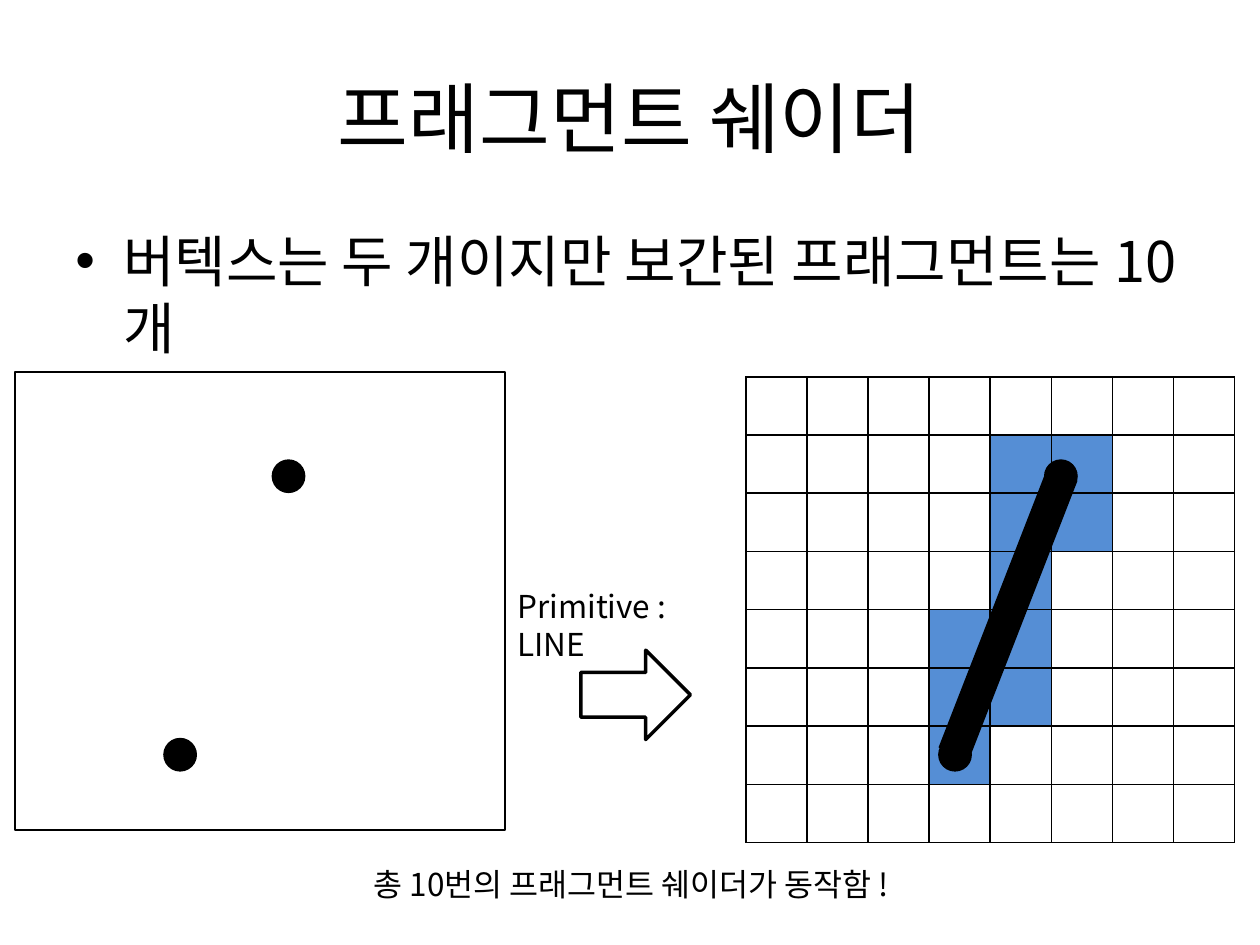
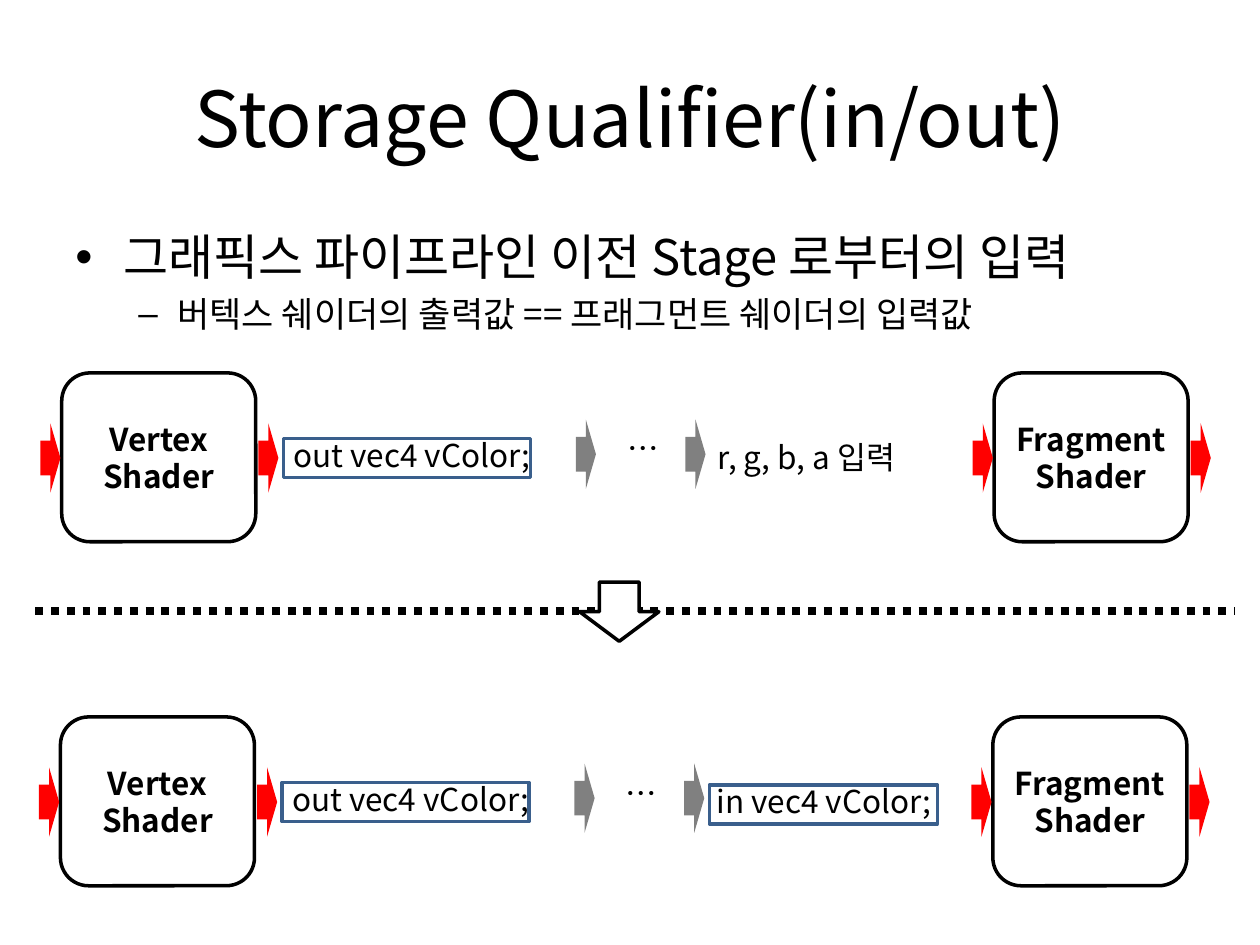
"""Builds two slides on fragment shaders and storage qualifiers."""
from lxml import etree
from pptx import Presentation
from pptx.dml.color import RGBColor
from pptx.enum.dml import MSO_LINE
from pptx.enum.shapes import MSO_CONNECTOR, MSO_SHAPE
from pptx.enum.text import MSO_ANCHOR, MSO_AUTO_SIZE, PP_ALIGN
from pptx.oxml.ns import qn
from pptx.util import Inches, Pt

BLACK = RGBColor(0x00, 0x00, 0x00)
WHITE = RGBColor(0xFF, 0xFF, 0xFF)
RED = RGBColor(0xFF, 0x00, 0x00)
GRAY = RGBColor(0x80, 0x80, 0x80)
NAVY = RGBColor(0x3A, 0x5F, 0x8C)
BLUE = RGBColor(0x55, 0x8E, 0xD5)
FONT = "Noto Sans CJK KR"

RECT, ROUND_RECT = MSO_SHAPE.RECTANGLE, MSO_SHAPE.ROUNDED_RECTANGLE
OVAL = MSO_SHAPE.OVAL
RIGHT, DOWN = MSO_SHAPE.RIGHT_ARROW, MSO_SHAPE.DOWN_ARROW
CENTER, MIDDLE = PP_ALIGN.CENTER, MSO_ANCHOR.MIDDLE
GROW = MSO_AUTO_SIZE.SHAPE_TO_FIT_TEXT
STRAIGHT, DOTS = MSO_CONNECTOR.STRAIGHT, MSO_LINE.ROUND_DOT

GRID = 8
FRAGMENTS = {1: (4, 5), 2: (4, 5), 3: (4,), 4: (3, 4), 5: (3, 4), 6: (3,)}
BULLETS = {0: ("•", 0.38, 0.38), 1: ("–", 0.81, 0.31)}


def add_run(p, text, size, bold=False):
    """Add a black run in the deck font."""
    r = p.add_run()
    r.text = text
    r.font.size, r.font.bold, r.font.name = Pt(size), bold, FONT
    r.font.color.rgb = BLACK
    etree.SubElement(r._r.get_or_add_rPr(), qn("a:ea"), typeface=FONT)


def add_box(s, x, y, w, h):
    """Add an empty wrapping text box and return its text frame."""
    tf = s.shapes.add_textbox(Inches(x), Inches(y), Inches(w), Inches(h)).text_frame
    tf.word_wrap = True
    return tf


def add_label(s, text, x, y, w):
    """Add a one-paragraph label that grows with its text."""
    tf = add_box(s, x, y, w, 0.4)
    tf.auto_size = GROW
    add_run(tf.paragraphs[0], text, 18)


def add_title(s, text):
    """Add the centred slide title."""
    tf = add_box(s, 0.5, 0.3, 9, 1.25)
    tf.vertical_anchor = MIDDLE
    p = tf.paragraphs[0]
    p.alignment = CENTER
    add_run(p, text, 44)


def add_bullets(s, items):
    """Add the body list from (level, size, text) items."""
    tf = add_box(s, 0.5, 1.75, 9, 4.95)
    for i, (level, size, text) in enumerate(items):
        p = tf.add_paragraph() if i else tf.paragraphs[0]
        p.level, p.space_before = level, Pt(size * 0.2)
        char, left, hang = BULLETS[level]
        pPr = p._p.get_or_add_pPr()
        pPr.set("marL", str(Inches(left)))
        pPr.set("indent", str(-Inches(hang)))
        etree.SubElement(pPr, qn("a:buFont"), typeface="Arial")
        etree.SubElement(pPr, qn("a:buChar"), char=char)
        add_run(p, text, size)


def add_shape(s, kind, x, y, w, h, fill=None, line=None, width=2):
    """Add a flat preset shape with optional fill and outline."""
    sp = s.shapes.add_shape(kind, Inches(x), Inches(y), Inches(w), Inches(h))
    sp.shadow.inherit = False
    if fill is None:
        sp.fill.background()
    else:
        sp.fill.solid()
        sp.fill.fore_color.rgb = fill
    if line is None:
        sp.line.fill.background()
    else:
        sp.line.color.rgb, sp.line.width = line, Pt(width)
    return sp


def add_line(s, x1, y1, x2, y2, width):
    """Add a black straight line."""
    ln = s.shapes.add_connector(STRAIGHT, Inches(x1), Inches(y1), Inches(x2), Inches(y2))
    ln.line.color.rgb, ln.line.width = BLACK, Pt(width)
    etree.SubElement(ln._element.spPr, qn("a:effectLst"))
    return ln


def add_borders(cell):
    """Give a table cell black borders on all sides."""
    tcPr = cell._tc.get_or_add_tcPr()
    for i, side in enumerate(("a:lnL", "a:lnR", "a:lnT", "a:lnB")):
        ln = etree.Element(qn(side), w=str(Pt(1)))
        fill = etree.SubElement(ln, qn("a:solidFill"))
        etree.SubElement(fill, qn("a:srgbClr"), val=str(BLACK))
        tcPr.insert(i, ln)


def add_pixel_grid(s, x, y, w, h):
    """Add the pixel grid with the covered fragments filled."""
    table = s.shapes.add_table(GRID, GRID, Inches(x), Inches(y), Inches(w), Inches(h)).table
    table.first_row = table.horz_banding = False
    for row in range(GRID):
        for col in range(GRID):
            cell = table.cell(row, col)
            cell.margin_top = cell.margin_bottom = 0
            if col in FRAGMENTS.get(row, ()):
                cell.fill.solid()
                cell.fill.fore_color.rgb = BLUE
            else:
                cell.fill.background()
            add_borders(cell)


def add_vertices(s, low_x, high_x):
    """Add the two vertex dots of the line."""
    for x, y in ((low_x, 5.87), (high_x, 3.66)):
        add_shape(s, OVAL, x, y, 0.24, 0.24, BLACK, BLACK)


def add_flow_arrow(s, x, y, color):
    """Add a narrow arrow of the shader pipeline."""
    add_shape(s, RIGHT, x, y, 0.16, 0.55, color)


def add_stage(s, name, x, y):
    """Add a shader stage with its input and output arrows."""
    sp = add_shape(s, ROUND_RECT, x, y, 1.54, 1.34, WHITE, BLACK)
    tf = sp.text_frame
    tf.word_wrap, tf.vertical_anchor = True, MIDDLE
    p = tf.paragraphs[0]
    p.alignment = CENTER
    add_run(p, name, 18, bold=True)
    for dx in (1.56, -0.17):
        add_flow_arrow(s, x + dx, y + 0.4, RED)


def add_pipeline(s, x, y, input_text):
    """Add one row from vertex shader to fragment shader."""
    add_stage(s, "Vertex Shader", x, y)
    add_label(s, "out vec4 vColor;", x + 1.74, y + 0.45, 2.53)
    add_shape(s, RECT, x + 1.76, y + 0.52, 1.96, 0.31, line=NAVY)
    add_label(s, "…", x + 4.39, y + 0.4, 0.56)
    add_stage(s, "Fragment Shader", x + 7.4, y)
    add_label(s, input_text, x + 5.11, y + 0.47, 2.13)
    for dx in (4.08, 4.95):
        add_flow_arrow(s, x + dx, y + 0.37, GRAY)


def build_fragment_slide(s):
    """Show two vertices becoming ten fragments."""
    add_pixel_grid(s, 5.92, 2.99, 3.88, 3.7)
    add_title(s, "프래그먼트 쉐이더")
    add_bullets(s, [(0, 32, "버텍스는 두 개이지만 보간된 프래그먼트는 10개")])
    add_vertices(s, 1.31, 2.17)
    add_label(s, "Primitive : LINE", 4.01, 4.61, 1.94)
    add_vertices(s, 7.46, 8.3)
    add_shape(s, RECT, 0.12, 2.95, 3.89, 3.64, line=BLACK, width=1)
    add_shape(s, RIGHT, 4.61, 5.16, 0.87, 0.71, WHITE, BLACK)
    add_line(s, 7.57, 5.98, 8.43, 3.77, 18.75)
    add_label(s, "총 10번의 프래그먼트 쉐이더가 동작함 !", 2.87, 6.82, 4.96)


def build_qualifier_slide(s):
    """Show the in and out qualifiers between shader stages."""
    add_line(s, 0.28, 4.85, 9.8, 4.85, 4.5).line.dash_style = DOTS
    add_title(s, "Storage Qualifier(in/out)")
    add_bullets(s, [(0, 28, "그래픽스 파이프라인 이전 Stage 로부터의 입력"),
                    (1, 20, "버텍스 쉐이더의 출력값 == 프래그먼트 쉐이더의 입력값")])
    add_pipeline(s, 0.49, 2.96, "r, g, b, a 입력")
    add_pipeline(s, 0.48, 5.69, "in vec4 vColor;")
    add_shape(s, DOWN, 4.6, 4.62, 0.63, 0.47, WHITE, BLACK)
    add_shape(s, RECT, 5.63, 6.23, 1.81, 0.31, line=NAVY)


def main():
    """Build and save the deck."""
    prs = Presentation()
    prs.slide_width, prs.slide_height = Inches(10), Inches(7.5)
    for build in (build_fragment_slide, build_qualifier_slide):
        build(prs.slides.add_slide(prs.slide_layouts[6]))
    prs.save("out.pptx")


if __name__ == "__main__":
    main()
